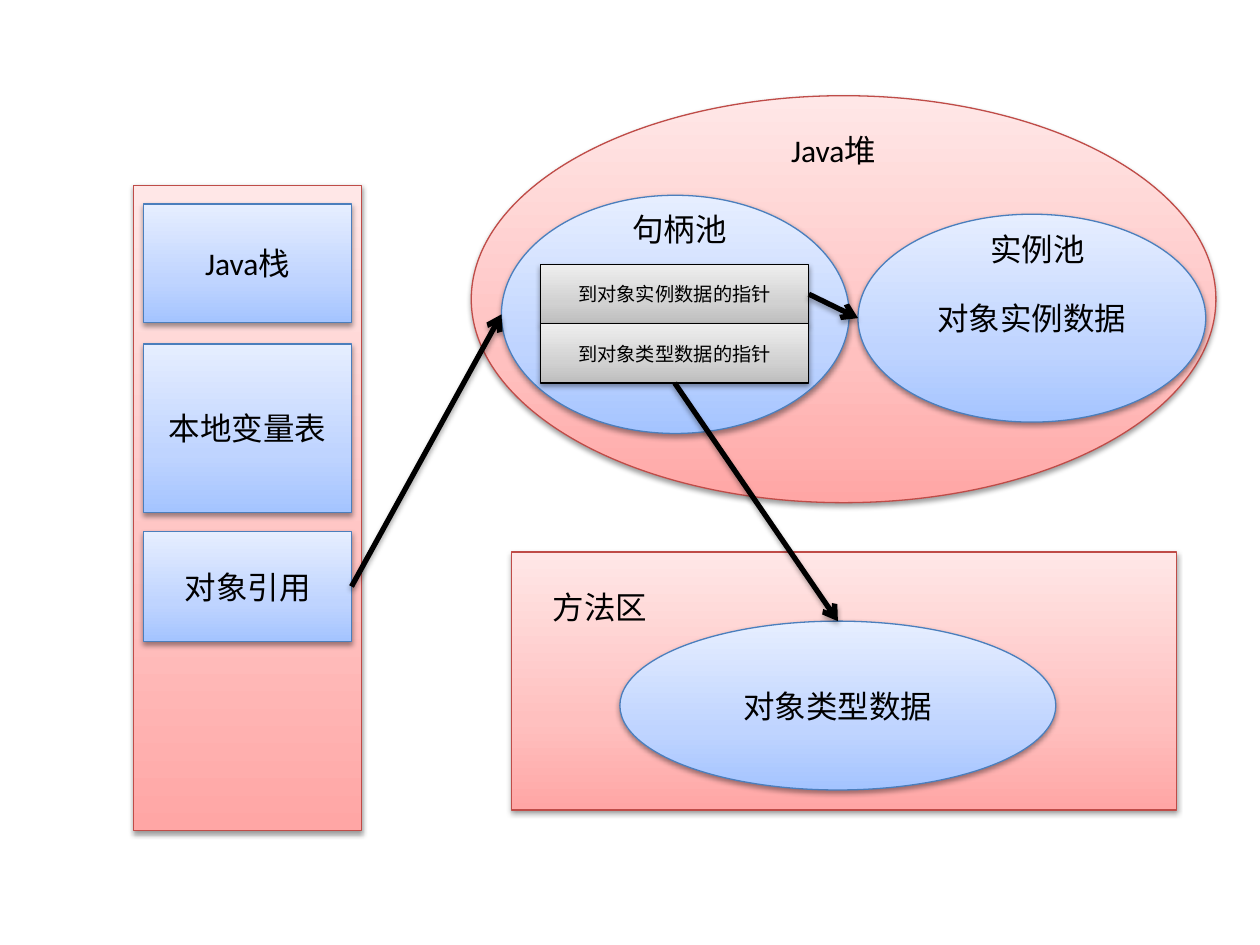
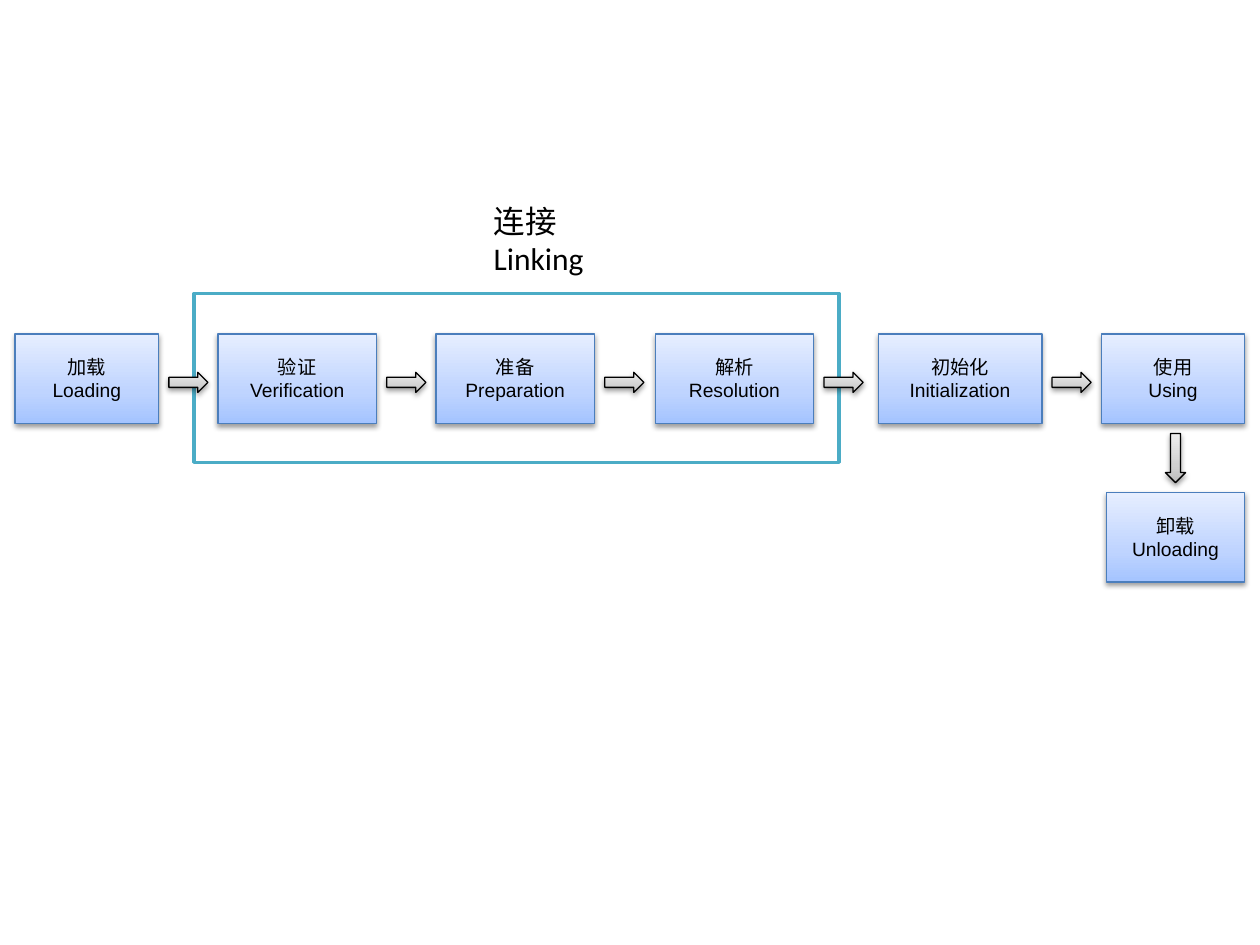
from copy import deepcopy

from lxml.etree import SubElement
from pptx import Presentation
from pptx.dml.color import RGBColor
from pptx.enum.shapes import MSO_CONNECTOR, MSO_SHAPE
from pptx.enum.text import MSO_ANCHOR, MSO_AUTO_SIZE, PP_ALIGN
from pptx.oxml.ns import qn
from pptx.util import Inches, Pt

BLACK = RGBColor(0x00, 0x00, 0x00)
WHITE = RGBColor(0xFF, 0xFF, 0xFF)
TEAL = RGBColor(0x4B, 0xAC, 0xC6)

# Each theme: line colour, then gradient colours from bottom to top
RED = (RGBColor(0xBF, 0x4C, 0x48),
       (RGBColor(0xFF, 0xA6, 0xA5), RGBColor(0xFF, 0xC0, 0xBF), RGBColor(0xFF, 0xE7, 0xE7)))
BLUE = (RGBColor(0x4B, 0x7E, 0xBC),
        (RGBColor(0xA4, 0xC4, 0xFF), RGBColor(0xBF, 0xD4, 0xFF), RGBColor(0xE6, 0xEE, 0xFF)))
GREY = (BLACK,
        (RGBColor(0xBD, 0xBD, 0xBD), RGBColor(0xD1, 0xD1, 0xD1), RGBColor(0xEE, 0xEE, 0xEE)))
GRADIENT_POSITIONS = (0, 0.35, 1)

RECT, OVAL = MSO_SHAPE.RECTANGLE, MSO_SHAPE.OVAL

# Memory slide: name, kind, (left, top, width, height), theme, text, size
MEMORY_BLOCKS = [
    ("heap", OVAL, (3.74, 0.76, 5.91, 3.23), RED, "", 18),
    ("handle pool", OVAL, (3.98, 1.55, 2.76, 1.89), BLUE, "", 18),
    ("stack", RECT, (1.06, 1.47, 1.81, 5.12), RED, "", 18),
    ("stack title", RECT, (1.14, 1.62, 1.65, 0.94), BLUE, "Java栈", 18),
    ("variables", RECT, (1.14, 2.73, 1.65, 1.34), BLUE, "本地变量表", 18),
    ("reference", RECT, (1.14, 4.22, 1.65, 0.87), BLUE, "对象引用", 18),
    ("instance pointer", RECT, (4.29, 2.1, 2.13, 0.47), GREY, "到对象实例数据的指针", 11),
    ("type pointer", RECT, (4.29, 2.57, 2.13, 0.47), GREY, "到对象类型数据的指针", 11),
    ("instance pool", OVAL, (6.81, 1.7, 2.76, 1.65), BLUE, "对象实例数据", 18),
    ("method area", RECT, (4.06, 4.38, 5.28, 2.05), RED, "", 18),
    ("type data", OVAL, (4.92, 4.93, 3.46, 1.34), BLUE, "对象类型数据", 18),
]
MEMORY_LABELS = [
    ("方法区", (4.29, 4.62, 1.26, 0.4)),
    ("实例池", (7.76, 1.78, 1.02, 0.4)),
    ("Java堆", (6.18, 0.99, 1.81, 0.4)),
    ("句柄池", (4.92, 1.62, 1.42, 0.4)),
]
# Rectangle, its connection site, target ellipse, side it is met on
POINTERS = [
    ("reference", 3, "handle pool", "left"),
    ("instance pointer", 3, "instance pool", "left"),
    ("type pointer", 2, "type data", "top"),
]

# Class loading slide: text, left, width
STAGES = [
    ("加载\nLoading", 0.12, 1.14),
    ("验证\nVerification", 1.73, 1.26),
    ("准备\nPreparation", 3.46, 1.26),
    ("解析\nResolution", 5.2, 1.26),
    ("初始化\nInitialization", 6.97, 1.3),
    ("使用\nUsing", 8.74, 1.14),
]
STAGE_TOP, STAGE_HEIGHT = 2.65, 0.71
ARROW_GAP, ARROW_LENGTH, ARROW_WIDTH = 0.08, 0.31, 0.16
UNLOADING = ("卸载\nUnloading", (8.78, 3.91, 1.1, STAGE_HEIGHT))
LINKING_FRAME = (1.54, 2.33, 5.12, 1.34)
LINKING_LABEL = ("连接\nLinking", (3.82, 1.55, 2.13, 0.71))


def write_text(shape, text, size=18, font="Calibri", align=PP_ALIGN.CENTER,
               anchor=MSO_ANCHOR.MIDDLE):
    frame = shape.text_frame
    frame.word_wrap = True
    frame.vertical_anchor = anchor
    frame.text = text
    for paragraph in frame.paragraphs:
        paragraph.alignment = align
        paragraph.font.size = Pt(size)
        paragraph.font.name = font
        paragraph.font.color.rgb = BLACK


def add_shadow(effects, opacity, distance):
    shadow = SubElement(effects, qn("a:outerShdw"), blurRad=str(Pt(3.1)),
                        dist=str(Pt(distance)), dir="5400000", rotWithShape="0")
    color = SubElement(shadow, qn("a:srgbClr"), val=str(BLACK))
    SubElement(color, qn("a:alpha"), val=str(opacity * 1000))


def fill_gradient(shape, colors):
    shape.fill.gradient()
    shape.fill.gradient_angle = 90
    stop_list = shape._element.spPr.find(qn("a:gradFill")).find(qn("a:gsLst"))
    stop_list.append(deepcopy(stop_list[0]))
    for stop, position, color in zip(shape.fill.gradient_stops, GRADIENT_POSITIONS, colors):
        stop.position = position
        stop.color.rgb = color


def add_block(slide, kind, box, theme, text="", **text_format):
    line_color, gradient = theme
    shape = slide.shapes.add_shape(kind, *map(Inches, box))
    fill_gradient(shape, gradient)
    shape.line.color.rgb = line_color
    shape.line.width = Pt(0.75)
    shape.shadow.inherit = False
    add_shadow(shape._element.spPr.find(qn("a:effectLst")), 38, 1.6)
    if text:
        write_text(shape, text, **text_format)
    return shape


def add_label(slide, text, box):
    label = slide.shapes.add_textbox(*map(Inches, box))
    write_text(label, text, align=PP_ALIGN.LEFT, anchor=MSO_ANCHOR.TOP)
    label.text_frame.auto_size = MSO_AUTO_SIZE.SHAPE_TO_FIT_TEXT


def add_pointer(slide, source, site, target, side):
    if side == "left":
        end = target.left, target.top + target.height // 2
    else:
        end = target.left + target.width // 2, target.top
    pointer = slide.shapes.add_connector(MSO_CONNECTOR.STRAIGHT, source.left, source.top, *end)
    pointer.begin_connect(source, site)
    pointer.line.color.rgb = BLACK
    pointer.line.width = Pt(3)
    SubElement(pointer.line._get_or_add_ln(), qn("a:tailEnd"), type="arrow")
    add_shadow(SubElement(pointer._element.spPr, qn("a:effectLst")), 35, 1.8)


def build_memory_slide(slide):
    blocks = {}
    for name, kind, box, theme, text, size in MEMORY_BLOCKS:
        blocks[name] = add_block(slide, kind, box, theme, text, size=size)
    for text, box in MEMORY_LABELS:
        add_label(slide, text, box)
    for source, site, target, side in POINTERS:
        add_pointer(slide, blocks[source], site, blocks[target], side)


def build_loading_slide(slide):
    frame = slide.shapes.add_shape(RECT, *map(Inches, LINKING_FRAME))
    frame.fill.solid()
    frame.fill.fore_color.rgb = WHITE
    frame.line.color.rgb = TEAL
    frame.line.width = Pt(2)
    frame.shadow.inherit = False

    stage_format = {"size": 11, "font": "Arial"}
    arrow_top = STAGE_TOP + (STAGE_HEIGHT - ARROW_WIDTH) / 2 + 0.03
    for index, (text, left, width) in enumerate(STAGES):
        add_block(slide, RECT, (left, STAGE_TOP, width, STAGE_HEIGHT), BLUE, text, **stage_format)
        if index < len(STAGES) - 1:
            arrow_box = (left + width + ARROW_GAP, arrow_top, ARROW_LENGTH, ARROW_WIDTH)
            add_block(slide, MSO_SHAPE.RIGHT_ARROW, arrow_box, GREY)

    down_top = STAGE_TOP + STAGE_HEIGHT + ARROW_GAP
    add_block(slide, MSO_SHAPE.DOWN_ARROW, (9.25, down_top, ARROW_WIDTH, 0.39), GREY)
    text, box = UNLOADING
    add_block(slide, RECT, box, BLUE, text, **stage_format)
    add_label(slide, *LINKING_LABEL)


def main():
    presentation = Presentation()
    presentation.slide_width = Inches(10)
    presentation.slide_height = Inches(7.5)
    blank_layout = presentation.slide_layouts[6]
    for build_slide in (build_memory_slide, build_loading_slide):
        build_slide(presentation.slides.add_slide(blank_layout))
    presentation.save("out.pptx")


if __name__ == "__main__":
    main()
